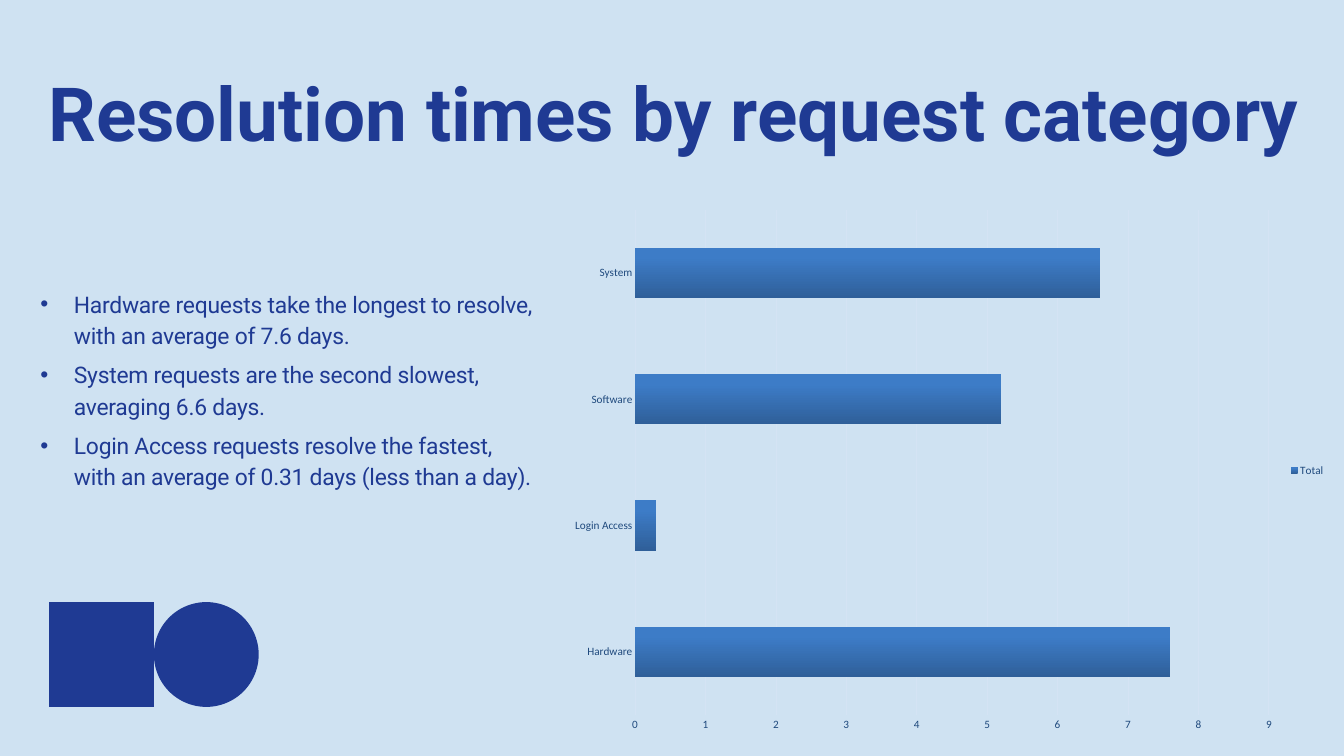
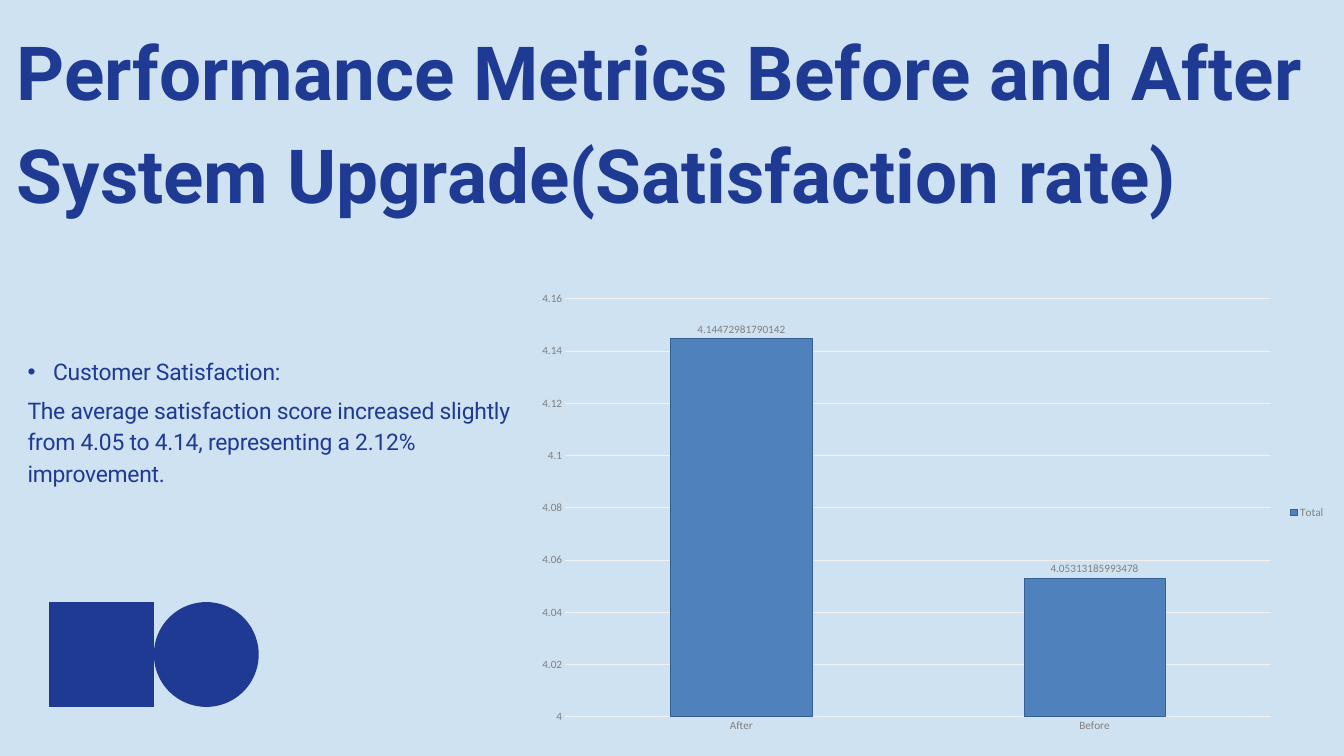
from lxml import etree
from pptx import Presentation
from pptx.chart.data import CategoryChartData
from pptx.dml.color import RGBColor
from pptx.enum.chart import XL_CHART_TYPE, XL_LABEL_POSITION, XL_LEGEND_POSITION, XL_TICK_MARK
from pptx.enum.shapes import MSO_SHAPE
from pptx.enum.text import MSO_ANCHOR, MSO_AUTO_SIZE, PP_ALIGN
from pptx.oxml.ns import qn
from pptx.util import Inches, Pt

BAR = XL_CHART_TYPE.BAR_CLUSTERED
COLUMN = XL_CHART_TYPE.COLUMN_CLUSTERED
LEGEND_RIGHT = XL_LEGEND_POSITION.RIGHT
OUTSIDE_END = XL_LABEL_POSITION.OUTSIDE_END
NO_TICKS = XL_TICK_MARK.NONE
SQUARE, CIRCLE = MSO_SHAPE.RECTANGLE, MSO_SHAPE.OVAL
TOP, LEFT = MSO_ANCHOR.TOP, PP_ALIGN.LEFT
NO_AUTOFIT = MSO_AUTO_SIZE.NONE

COLORS = {
    "background": "CFE2F2",
    "navy": "1F3A93",
    "axis_blue": "1F497D",
    "grid_blue": "D4E3F4",
    "bar_dark": "2F5F99",
    "bar_light": "3D7CC7",
    "axis_gray": "808080",
    "grid_gray": "F2F2F2",
    "column": "4F81BD",
    "column_edge": "376092",
}
TEXT_FONT, CHART_FONT = "Roboto", "Calibri"
WIDTH, HEIGHT = 20, 11.25


def color(name):
    return RGBColor.from_string(COLORS[name])


def place(shape, left, top, width, height):
    shape.left, shape.top = Inches(left), Inches(top)
    shape.width, shape.height = Inches(width), Inches(height)


def draw_line(line, name):
    line.color.rgb = color(name)
    line.width = Pt(0.75)


def style_font(font, face, size, name, bold=False):
    font.name, font.size, font.bold = face, Pt(size), bold
    font.color.rgb = color(name)


class Report:
    """Holds the shared style and the current slide."""

    def __init__(self):
        self.deck = Presentation()
        self.deck.slide_width, self.deck.slide_height = Inches(WIDTH), Inches(HEIGHT)
        self.page = None

    def new_page(self):
        self.page = self.deck.slides.add_slide(self.deck.slide_layouts[1])
        if len(self.deck.slides) == 1:
            self.backdrop()
        self.square_and_circle()

    def flat_shape(self, kind, area, fill_name):
        shape = self.page.shapes.add_shape(kind, *map(Inches, area))
        shape.fill.solid()
        shape.fill.fore_color.rgb = color(fill_name)
        shape.line.fill.background()
        shape.shadow.inherit = False
        return shape

    def backdrop(self):
        """Moves one full-size rectangle to the back of the slide master."""
        shape = self.flat_shape(SQUARE, (0, 0, WIDTH, HEIGHT), "background")
        self.deck.slide_master.shapes._spTree.insert(2, shape._element)

    def square_and_circle(self):
        side = 1.56
        for column, kind in enumerate((SQUARE, CIRCLE)):
            self.flat_shape(kind, (0.73 + column * side, 8.96, side, side), "navy")

    def fill_text(self, box, area, texts, size, bold=False):
        place(box, *area)
        frame = box.text_frame
        frame.word_wrap, frame.auto_size = True, NO_AUTOFIT
        frame.vertical_anchor = TOP
        frame.text = "\n".join(texts)
        for para in frame.paragraphs:
            para.alignment, para.line_spacing = LEFT, 1.15
            para.space_before, para.space_after = Pt(0), Pt(8)
            style_font(para.font, TEXT_FONT, size, "navy", bold)
        return frame

    def title(self, text, area):
        frame = self.fill_text(self.page.shapes.title, area, [text], 80, True)
        frame.margin_left = frame.margin_right = frame.margin_bottom = 0
        frame.margin_top = Inches(0.14)

    def body(self, texts, area, indent, bullets):
        """The first `bullets` paragraphs get a bullet, the rest are plain."""
        frame = self.fill_text(self.page.placeholders[1], area, texts, 24.5)
        for index, para in enumerate(frame.paragraphs):
            bulleted = index < bullets
            hang = Inches(indent) if bulleted else 0
            properties = para._p.get_or_add_pPr()
            properties.set("marL", str(hang))
            properties.set("indent", str(-hang))
            mark = etree.Element(qn("a:buChar" if bulleted else "a:buNone"))
            if bulleted:
                mark.set("char", "•")
            properties.find(qn("a:defRPr")).addprevious(mark)
            for span in para.runs:
                span._r.get_or_add_rPr().set("spc", "-25")

    def chart(self, kind, area, values, scale, text_color, grid_color):
        data = CategoryChartData()
        data.categories = list(values)
        data.add_series("Total", list(values.values()))
        frame = self.page.shapes.add_chart(kind, *map(Inches, area), data)
        chart = frame.chart
        chart.has_title = False
        style_font(chart.font, CHART_FONT, 12, text_color)
        chart.has_legend = True
        chart.legend.position = LEGEND_RIGHT
        chart.legend.include_in_layout = False
        style_font(chart.legend.font, CHART_FONT, 12, text_color)

        for axis in (chart.category_axis, chart.value_axis):
            axis.major_tick_mark = axis.minor_tick_mark = NO_TICKS
            axis.format.line.fill.background()
            style_font(axis.tick_labels.font, CHART_FONT, 12, text_color)
        axis = chart.value_axis
        axis.minimum_scale, axis.maximum_scale, axis.major_unit = scale
        axis.has_major_gridlines = True
        draw_line(axis.major_gridlines.format.line, grid_color)

        plot = chart.plots[0]
        plot.gap_width, plot.vary_by_categories = 150, False
        return chart


def resolution_page(report):
    report.new_page()
    report.title("Resolution times by request category", (0.72, 0.65, 19.12, 1.61))
    report.body(
        [
            "Hardware requests take the longest to resolve, with an average of 7.6 days.",
            "System requests are the second slowest, averaging 6.6 days.",
            "Login Access requests resolve the fastest, with an average of 0.31 days (less than a day).",
        ],
        (0.5, 4.21, 7.6, 3.13), indent=0.5, bullets=3)

    # Average days per category, bars shaded from bottom to top
    days = {"Hardware": 7.6, "Login Access": 0.3, "Software": 5.2, "System": 6.6}
    chart = report.chart(BAR, (8.33, 2.96, 11.5, 8.08), days, (0, 9, 1),
                         "axis_blue", "grid_blue")
    draw_line(chart.category_axis.format.line, "grid_blue")
    fill = chart.plots[0].series[0].format.fill
    fill.gradient()
    fill.gradient_angle = 90
    shades = (("bar_dark", 0), ("bar_light", 0.8))
    for stop, (shade, position) in zip(fill.gradient_stops, shades):
        stop.color.rgb, stop.position = color(shade), position


def satisfaction_page(report):
    report.new_page()
    report.title("Performance Metrics Before and After System Upgrade(Satisfaction rate)",
                 (0.25, 0.04, 20.52, 3.16))
    report.body(
        [
            "Customer Satisfaction:",
            "The average satisfaction score increased slightly from 4.05 to 4.14, "
            "representing a 2.12% improvement.",
        ],
        (0.31, 5.21, 7.6, 3.11), indent=0.38, bullets=1)

    # Satisfaction score, with the unrounded score above each column
    scores = {"After": 4.14473, "Before": 4.053132}
    score_labels = ("4.14472981790142", "4.05313185993478")
    chart = report.chart(COLUMN, (7.83, 4.21, 12, 6.83), scores, (4, 4.16, 0.02),
                         "axis_gray", "grid_gray")
    series = chart.plots[0].series[0]
    series.format.fill.solid()
    series.format.fill.fore_color.rgb = color("column")
    draw_line(series.format.line, "column_edge")
    labels = series.data_labels
    labels.show_value, labels.position = True, OUTSIDE_END
    style_font(labels.font, CHART_FONT, 12, "axis_gray")
    for index, text in enumerate(score_labels):
        label = series.points[index].data_label
        label.position = OUTSIDE_END
        label.text_frame.text = text
        span = label.text_frame.paragraphs[0].runs[0]
        style_font(span.font, CHART_FONT, 12, "axis_gray")


def main():
    report = Report()
    resolution_page(report)
    satisfaction_page(report)
    report.deck.save("out.pptx")


if __name__ == "__main__":
    main()
